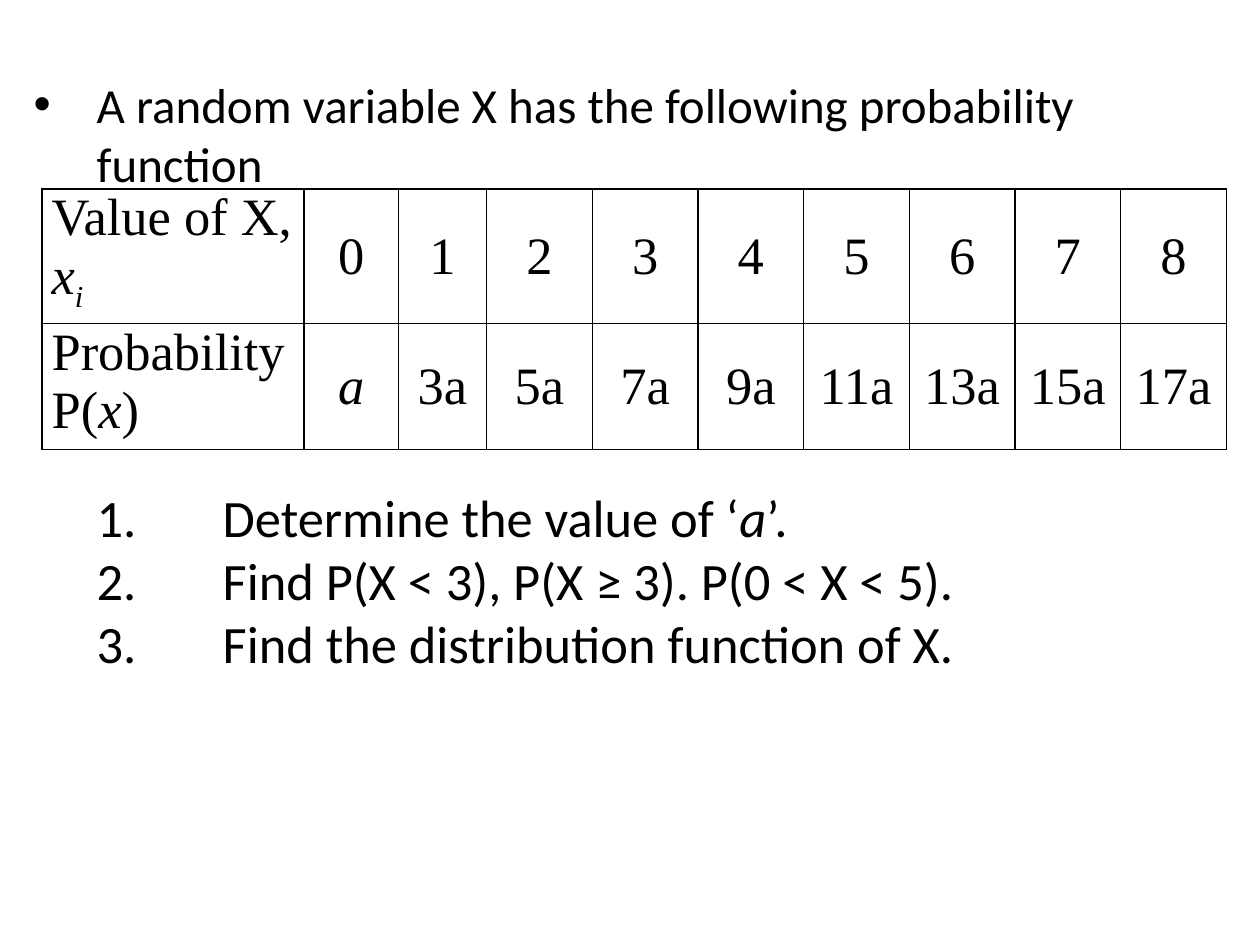
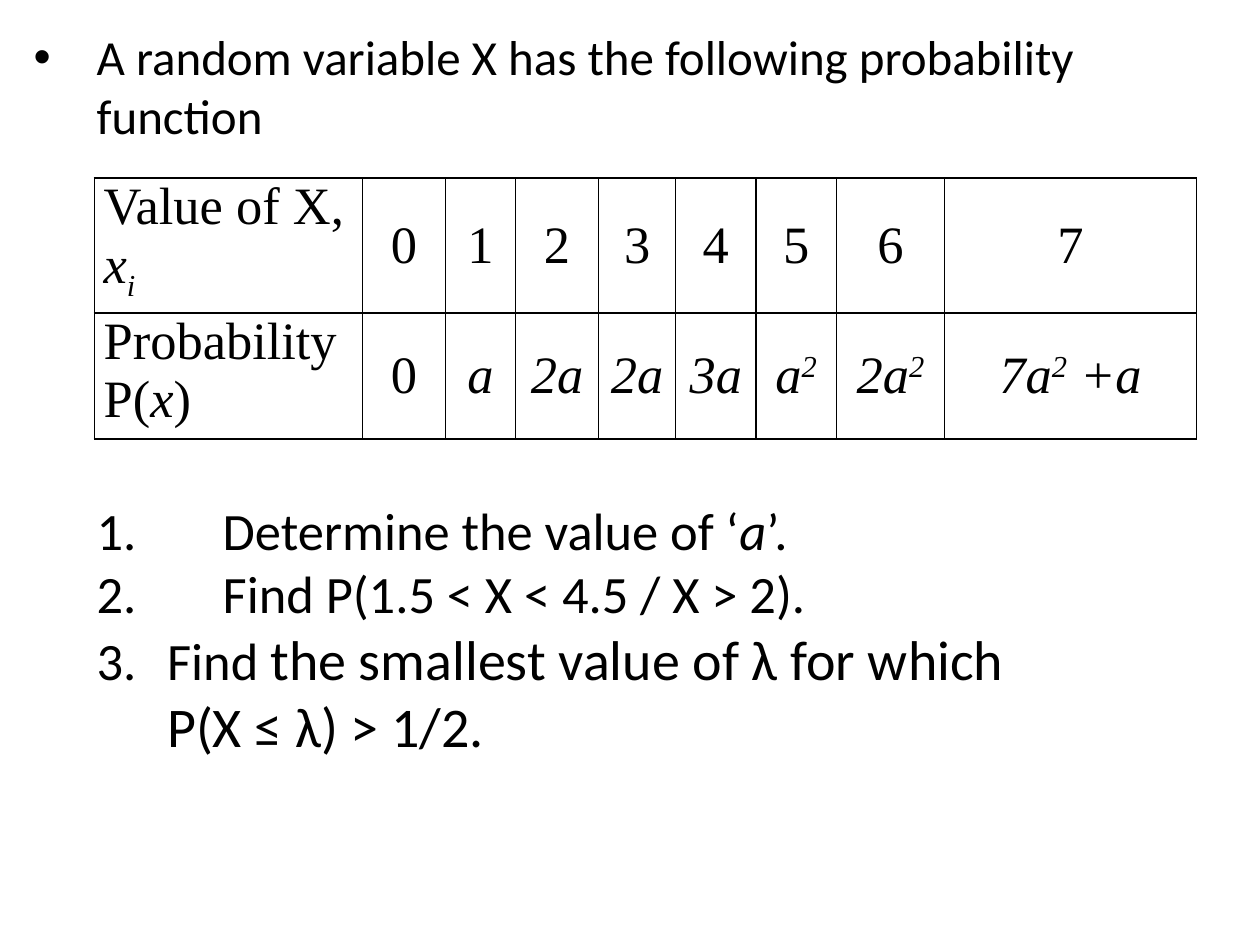
from lxml import etree
from pptx import Presentation
from pptx.dml.color import RGBColor
from pptx.enum.text import MSO_ANCHOR, PP_ALIGN
from pptx.oxml.ns import qn
from pptx.util import Cm, Pt

MIDDLE, TOP = MSO_ANCHOR.MIDDLE, MSO_ANCHOR.TOP
CENTER, LEFT = PP_ALIGN.CENTER, PP_ALIGN.LEFT

BLACK = "000000"
BODY_FONT, TABLE_FONT = "Calibri", "Times New Roman"
INTRO_SIZE, QUESTION_SIZE, LARGE_SIZE, TABLE_SIZE = 28, 30, 32, 30
INDENT = 1.27
WIDE_MARGIN, NARROW_MARGIN = 3.81, 2.69
ROW_HEIGHTS = [2.7, 2.54]

INTRO = "A random variable X has the following probability function"
FIND_A = [("Determine the value of ‘",), ("a", True), ("’.",)]
VALUE_LABEL = [("Value of X, ",), ("x", True), ("i", True, -25)]
PROBABILITY_LABEL = [("Probability P(",), ("x", True), (")",)]


def color(hex_string):
    return RGBColor.from_string(hex_string)


def italic(text):
    return [(text, True)]


def a_squared(factor, rest=""):
    spans = [(f"{factor}a", True), ("2", True, 30)]
    return spans + italic(rest) if rest else spans


class Deck:
    def __init__(self):
        self.deck = Presentation()
        self.deck.slide_width, self.deck.slide_height = Cm(25.4), Cm(19.05)
        self.page = None

    def add_page(self):
        self.page = self.deck.slides.add_slide(self.deck.slide_layouts[6])

    def add_span(self, para, font, size, text, slanted=False, baseline=0):
        """Add one run; baseline is the raise or drop in percent."""
        span = para.add_run()
        span.text = text
        span.font.name, span.font.size = font, Pt(size)
        span.font.italic = slanted
        span.font.color.rgb = color(BLACK)
        if baseline:
            span.font._element.set("baseline", str(baseline * 1000))

    def indent(self, para, margin, first=0):
        properties = para._p.get_or_add_pPr()
        properties.set("marL", str(Cm(margin)))
        properties.set("indent", str(Cm(first)))
        return properties

    def add_text(self, top, height):
        """Add the body box, starting with the bulleted introduction."""
        box = self.page.shapes.add_textbox(Cm(0.43), Cm(top), Cm(24.77), Cm(height))
        frame = box.text_frame
        frame.word_wrap = True
        frame.vertical_anchor = TOP
        para = frame.paragraphs[0]
        properties = self.indent(para, INDENT, -INDENT)
        etree.SubElement(properties, qn("a:buFont"), typeface="Arial")
        etree.SubElement(properties, qn("a:buChar"), char="•")
        self.add_span(para, BODY_FONT, INTRO_SIZE, INTRO)
        return frame

    def add_question(self, frame, spans, number=None, size=QUESTION_SIZE,
                     margin=WIDE_MARGIN, gap=0):
        """Add a question; without a number it continues the one before."""
        para = frame.add_paragraph()
        para.space_before = Pt(gap)
        properties = self.indent(para, margin, INDENT - margin if number else 0)
        if number:
            etree.SubElement(properties, qn("a:buFont"), typeface="+mj-lt")
            etree.SubElement(properties, qn("a:buAutoNum"),
                             type="arabicPeriod", startAt=str(number))
        for text, *style in spans:
            self.add_span(para, BODY_FONT, size, text, *style)
        return para

    def add_borders(self, cell):
        properties = cell._tc.get_or_add_tcPr()
        for place, side in enumerate(("lnL", "lnR", "lnT", "lnB")):
            line = etree.Element(qn(f"a:{side}"), w=str(Pt(1)))
            fill = etree.SubElement(line, qn("a:solidFill"))
            etree.SubElement(fill, qn("a:srgbClr"), val=BLACK)
            properties.insert(place, line)

    def add_table(self, left, top, widths, probabilities):
        """Tabulate probabilities for the values 0, 1, 2, ..."""
        values = [str(value) for value in range(len(probabilities))]
        rows = [[VALUE_LABEL, *values], [PROBABILITY_LABEL, *probabilities]]
        table = self.page.shapes.add_table(
            len(rows), len(widths), Cm(left), Cm(top),
            Cm(sum(widths)), Cm(sum(ROW_HEIGHTS))).table
        table.first_row = table.horz_banding = False
        for column, width in zip(table.columns, widths):
            column.width = Cm(width)
        for row, height in zip(table.rows, ROW_HEIGHTS):
            row.height = Cm(height)
        for r, row in enumerate(rows):
            for c, content in enumerate(row):
                cell = table.cell(r, c)
                cell.fill.background()
                self.add_borders(cell)
                cell.margin_left = cell.margin_right = Cm(0.19)
                cell.margin_top = cell.margin_bottom = 0
                cell.vertical_anchor = MIDDLE if c else TOP
                para = cell.text_frame.paragraphs[0]
                para.alignment = CENTER if c else LEFT
                spans = [(content,)] if isinstance(content, str) else content
                for text, *style in spans:
                    self.add_span(para, TABLE_FONT, TABLE_SIZE, text, *style)


def add_odd_multiples_page(deck):
    deck.add_page()
    frame = deck.add_text(1.38, 13.69)
    deck.add_question(frame, FIND_A, 1, gap=167.5)
    deck.add_question(frame, [("Find P(X < 3), P(X ≥ 3). P(0 < X < 5).",)], 2)
    deck.add_question(frame, [("Find the distribution function of X.",)], 3)
    multiples = [f"{factor}a" for factor in range(3, 18, 2)]
    deck.add_table(0.85, 3.81, [5.28, 1.9, 1.78] + [2.13] * 7,
                   [italic("a"), *multiples])


def add_quadratic_page(deck):
    deck.add_page()
    frame = deck.add_text(0.42, 16.33)
    deck.add_question(frame, FIND_A, 1, gap=202)
    deck.add_question(frame, [("Find P(1.5 < X < 4.5 / X > 2).",)], 2)
    para = deck.add_question(frame, [("Find ",)], 3, margin=NARROW_MARGIN)
    deck.add_span(para, BODY_FONT, LARGE_SIZE, "the smallest value of λ for which")
    deck.add_question(frame, [("P(X ≤ λ) > 1/2.",)], size=LARGE_SIZE,
                      margin=NARROW_MARGIN)
    linear = [italic(text) for text in ("a", "2a", "2a", "3a")]
    deck.add_table(1.9, 3.59,
                   [5.41, 1.67, 1.41, 1.68, 1.55, 1.62, 1.62, 2.18, 5.08],
                   ["0", *linear, a_squared(""), a_squared(2), a_squared(7, " +a")])


def main():
    deck = Deck()
    add_odd_multiples_page(deck)
    add_quadratic_page(deck)
    deck.deck.save("out.pptx")


if __name__ == "__main__":
    main()
